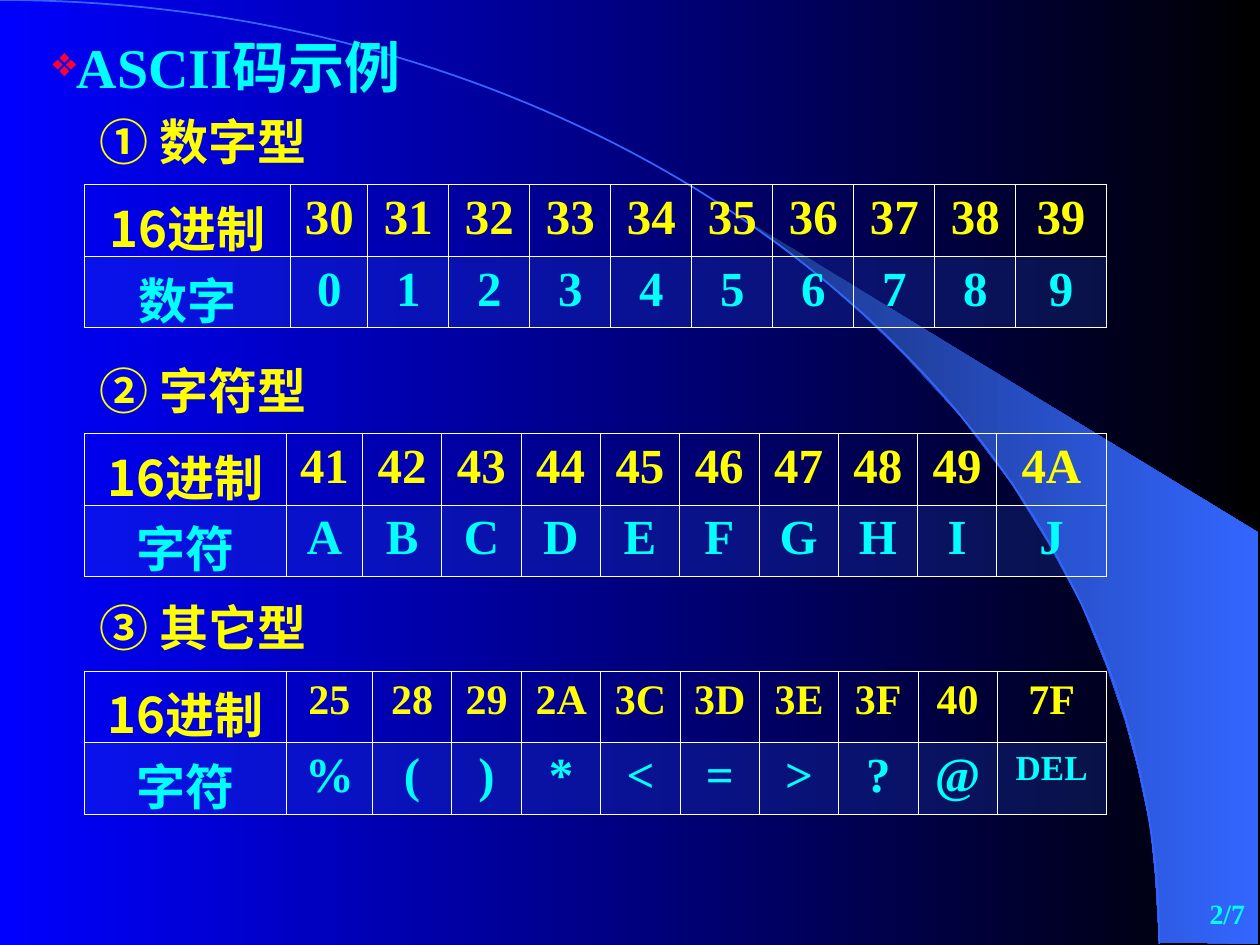
from math import cos, pi, sin

from lxml import etree
from pptx import Presentation
from pptx.dml.color import RGBColor
from pptx.enum.text import MSO_ANCHOR, PP_ALIGN
from pptx.oxml.ns import qn
from pptx.util import Pt

CENTER, LEFT, RIGHT = PP_ALIGN.CENTER, PP_ALIGN.LEFT, PP_ALIGN.RIGHT
TOP, MIDDLE = MSO_ANCHOR.TOP, MSO_ANCHOR.MIDDLE

BLUE = RGBColor(0x00, 0x00, 0xFF)
BLACK = RGBColor(0x00, 0x00, 0x00)
NAVY = RGBColor(0x18, 0x2F, 0x76)
ARC_BLUE = RGBColor(0x33, 0x66, 0xFF)
ROW_BLUE = RGBColor(0x2D, 0x5C, 0xE7)
YELLOW = RGBColor(0xFF, 0xFF, 0x00)
CYAN = RGBColor(0x00, 0xFF, 0xFF)
WHITE = RGBColor(0xFF, 0xFF, 0xFF)
BULLET_RED = "FF0033"
SERIF, CJK = "Times New Roman", "Noto Sans CJK SC"

SLIDE_W, SLIDE_H = 720, 540
TABLE_LEFT, TABLE_W, ROW_H = 48.2, 584, 40.8
HEADING_LEFT, HEADING_W, HEADING_H = 49.7, 132.5, 41.2
HEADING_RISE = 45.4  # from the top of a heading to the top of its table

TITLE = "ASCII码示例"
PAGE_NUMBER = "2/7"
# The last column of each table takes the width that is left.
SECTIONS = [
    dict(heading="① 数字型", top=105.6, label="数字", code_size=28,
         widths=[118, 44] + [46.3] * 8,
         codes="30 31 32 33 34 35 36 37 38 39",
         symbols="0 1 2 3 4 5 6 7 8 9"),
    dict(heading="② 字符型", top=247.7, label="字符", code_size=28,
         widths=[115.5, 43.5] + [45.3] * 8,
         codes="41 42 43 44 45 46 47 48 49 4A",
         symbols="A B C D E F G H I J"),
    dict(heading="③ 其它型", top=383.4, label="字符", code_size=24,
         widths=[115.5, 49.2, 45.2, 40] + [45.3] * 6,
         codes="25 28 29 2A 3C 3D 3E 3F 40 7F",
         symbols="% ( ) * < = > ? @ DEL"),
]
CODE_LABEL = "16进制"
SMALL_SIZES = {"DEL": 20}

ARC_RX, ARC_RY = 662.4, 539.3
ARC_STEPS = 90
BEAM = [  # inches
    (9.2, 7.48), (9.99, 7.49), (9.99, 4.23), (5.89, 1.73), (6.24, 1.99),
    (6.53, 2.22), (6.85, 2.5), (7.16, 2.8), (7.62, 3.3), (8.03, 3.84),
    (8.32, 4.31), (8.58, 4.79), (8.78, 5.28), (8.93, 5.72), (9.03, 6.09),
    (9.13, 6.56), (9.17, 6.96),
]


def set_gradient(fill, start, end):
    fill.gradient()
    fill.gradient_angle = 0
    for stop, color in zip(fill.gradient_stops, (start, end)):
        stop.color.rgb = color


def add_outline(slide, points, close):
    """Add a freeform through points given in points."""
    corners = [(Pt(x), Pt(y)) for x, y in points]
    builder = slide.shapes.build_freeform(*corners[0])
    builder.add_line_segments(corners[1:], close=close)
    outline = builder.convert_to_shape()
    outline.shadow.inherit = False
    return outline


def style_text(frame, text, size, font, color, align=LEFT):
    frame.text = text
    paragraph = frame.paragraphs[0]
    paragraph.alignment = align
    run = paragraph.runs[0]
    run.font.size = Pt(size)
    run.font.bold = True
    run.font.name = font
    run.font.color.rgb = color
    east_asian = etree.Element(qn("a:ea"), typeface=CJK)
    run.font._element.find(qn("a:latin")).addnext(east_asian)


def add_label(slide, box, text, size, font, color, align=LEFT, anchor=TOP, wrap=True):
    frame = slide.shapes.add_textbox(*map(Pt, box)).text_frame
    frame.word_wrap = wrap
    frame.vertical_anchor = anchor
    style_text(frame, text, size, font, color, align)
    return frame


def add_bullet(paragraph):
    props = paragraph._p.get_or_add_pPr()
    props.set("marL", "0")
    props.set("indent", "0")
    color = etree.SubElement(props, qn("a:buClr"))
    etree.SubElement(color, qn("a:srgbClr"), val=BULLET_RED)
    etree.SubElement(props, qn("a:buSzPct"), val="75000")
    etree.SubElement(props, qn("a:buChar"), char="❖")


def add_borders(cell):
    props = cell._tc.get_or_add_tcPr()
    for index, side in enumerate(("lnL", "lnR", "lnT", "lnB")):
        line = etree.Element(qn(f"a:{side}"), w=str(Pt(0.45)))
        solid = etree.SubElement(line, qn("a:solidFill"))
        etree.SubElement(solid, qn("a:srgbClr"), val=str(WHITE))
        props.insert(index, line)


def tint(cell):
    """Fill the cell with a 20% opaque blue."""
    cell.fill.solid()
    cell.fill.fore_color.rgb = ROW_BLUE
    color = cell._tc.tcPr.find(qn("a:solidFill")).find(qn("a:srgbClr"))
    etree.SubElement(color, qn("a:alpha"), val="20000")


def add_code_table(slide, section):
    rows = [
        ([CODE_LABEL] + section["codes"].split(), section["code_size"], YELLOW),
        ([section["label"]] + section["symbols"].split(), 28, CYAN),
    ]
    widths = section["widths"] + [TABLE_W - sum(section["widths"])]
    table = slide.shapes.add_table(
        len(rows), len(widths), Pt(TABLE_LEFT), Pt(section["top"]),
        Pt(TABLE_W), Pt(ROW_H * len(rows))).table
    table.first_row = table.horz_banding = False
    for column, width in zip(table.columns, widths):
        column.width = Pt(width)
    for r, (texts, size, color) in enumerate(rows):
        table.rows[r].height = Pt(ROW_H)
        for c, text in enumerate(texts):
            cell = table.cell(r, c)
            if c == 0:
                style_text(cell.text_frame, text, 28, CJK, color, CENTER)
            else:
                style_text(cell.text_frame, text, SMALL_SIZES.get(text, size),
                           SERIF, color, CENTER)
            if r == 0:
                cell.fill.background()
            else:
                tint(cell)
            add_borders(cell)


def main():
    prs = Presentation()
    prs.slide_width, prs.slide_height = Pt(SLIDE_W), Pt(SLIDE_H)
    slide = prs.slides.add_slide(prs.slide_layouts[6])
    set_gradient(slide.background.fill, BLUE, BLACK)

    beam = add_outline(slide, [(x * 72, y * 72) for x, y in BEAM], close=True)
    set_gradient(beam.fill, NAVY, ARC_BLUE)
    beam.line.fill.background()

    angles = [pi / 2 * i / ARC_STEPS for i in range(ARC_STEPS + 1)]
    arc = add_outline(
        slide, [(ARC_RX * sin(a), ARC_RY * (1 - cos(a))) for a in angles], close=False)
    arc.fill.background()
    arc.line.color.rgb = ARC_BLUE
    arc.line.width = Pt(1)

    title = add_label(slide, (23, 15.1, 257.8, 46.1), TITLE, 32, SERIF, CYAN)
    add_bullet(title.paragraphs[0])

    for section in SECTIONS:
        heading_box = (HEADING_LEFT, section["top"] - HEADING_RISE, HEADING_W, HEADING_H)
        add_label(slide, heading_box, section["heading"], 28, CJK, YELLOW, wrap=False)
        add_code_table(slide, section)

    add_label(slide, (568.8, 504, 149.8, 36), PAGE_NUMBER, 16, SERIF, CYAN, RIGHT, MIDDLE)
    prs.save("out.pptx")


if __name__ == "__main__":
    main()
